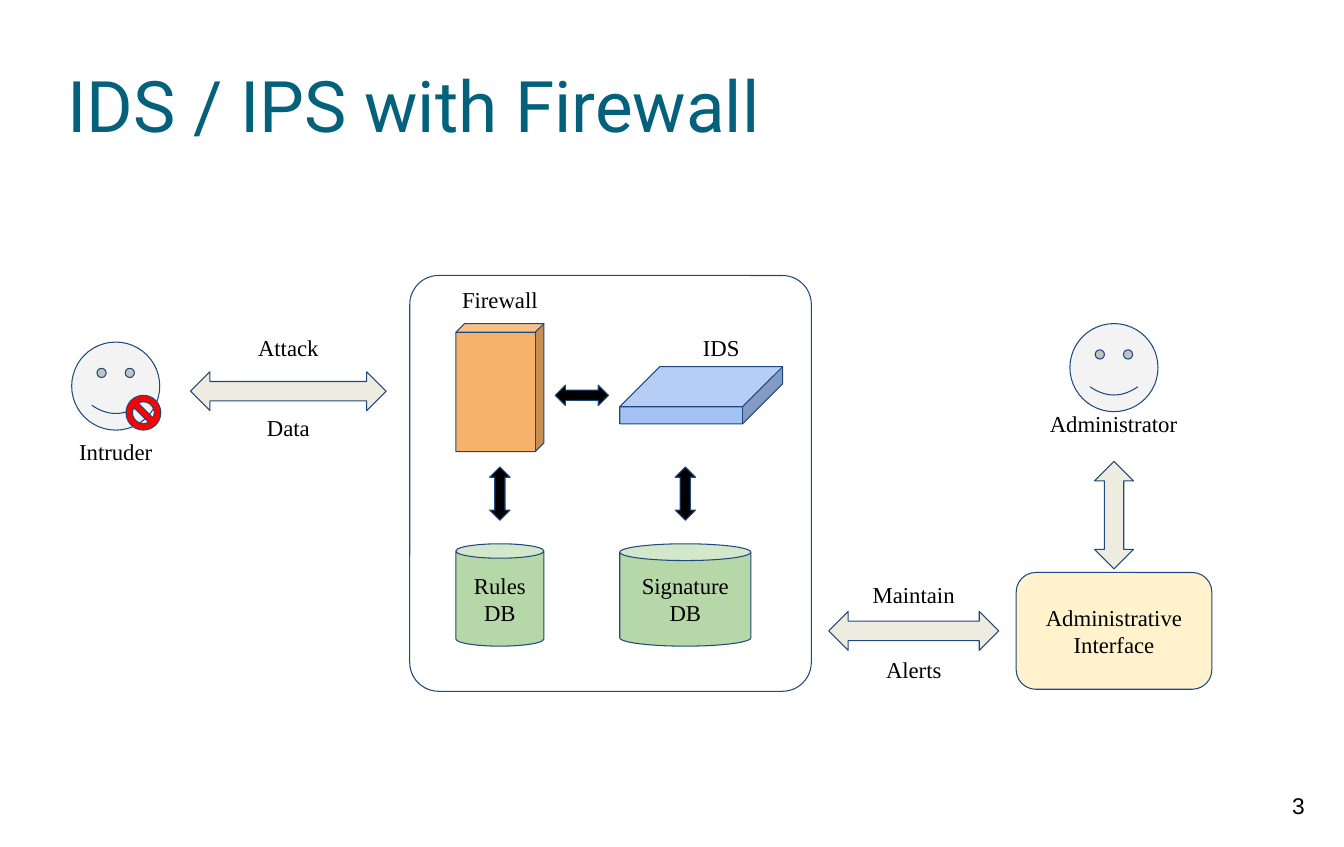
from dataclasses import dataclass

from pptx import Presentation
from pptx.dml.color import RGBColor
from pptx.enum import shapes, text
from pptx.util import Inches, Pt

MSO = shapes.MSO_SHAPE


@dataclass(frozen=True)
class Theme:
    title: str = "04617B"
    ink: str = "000000"
    line: str = "1F497D"
    face: str = "F3F3F3"
    stop: str = "FF0000"
    flow: str = "EEECE1"
    firewall: str = "F6B26B"
    ids: str = "A4C2F4"
    database: str = "B6D7A8"
    interface: str = "FFF2CC"
    title_font: str = "Roboto"
    label_font: str = "Times New Roman"
    number_font: str = "Arial"
    title_size: int = 50
    label_size: int = 16
    line_width: float = 0.75


T = Theme()


# Text and shape helpers
def add_run(p, words, font, size, color):
    r = p.add_run()
    r.text = words
    r.font.name = font
    r.font.size = Pt(size)
    r.font.color.rgb = RGBColor.from_string(color)


def write(sp, lines, font=T.label_font, anchor=text.MSO_ANCHOR.MIDDLE):
    tf = sp.text_frame
    tf.word_wrap = True
    tf.vertical_anchor = anchor
    tf.margin_left = tf.margin_right = Inches(0.1)
    tf.margin_top = tf.margin_bottom = Inches(0.1)
    p = tf.paragraphs[0]
    p.alignment = text.PP_ALIGN.CENTER
    for i, words in enumerate(lines):
        if i:
            p.add_line_break()
        add_run(p, words, font, T.label_size, T.ink)


def add_label(s, words, x, y, w, h=0.47, font=T.label_font):
    sp = s.shapes.add_textbox(Inches(x), Inches(y), Inches(w), Inches(h))
    write(sp, [words], font, text.MSO_ANCHOR.TOP)


def add_part(parent, kind, x, y, w, h, fill=None, adj=None, lines=()):
    sp = parent.shapes.add_shape(kind, Inches(x), Inches(y), Inches(w), Inches(h))
    sp.shadow.inherit = False
    if fill:
        sp.fill.solid()
        sp.fill.fore_color.rgb = RGBColor.from_string(fill)
    else:
        sp.fill.background()
    sp.line.color.rgb = RGBColor.from_string(T.line)
    sp.line.width = Pt(T.line_width)
    if adj is not None:
        sp.adjustments[0] = adj
    if lines:
        write(sp, lines)
    return sp


def add_arrow(s, cx, cy, length, thick, fill, vertical=False):
    """Double arrow centred on (cx, cy)."""
    sp = add_part(s, MSO.LEFT_RIGHT_ARROW, cx - length / 2, cy - thick / 2,
                  length, thick, fill)
    if vertical:
        sp.rotation = 90


def add_flow(s, x, y, w, above, below, label_w, rise, drop):
    """Arrow with one label above it and one below."""
    cx = x + w / 2
    add_arrow(s, cx, y, w, 0.38, T.flow)
    for words, offset in ((above, -rise), (below, drop)):
        add_label(s, words, cx - label_w / 2, y + offset, label_w)


# Title and slide number
def add_heading(s, x, y, w, h):
    sp = s.shapes.title
    sp.left, sp.top, sp.width, sp.height = map(Inches, (x, y, w, h))
    tf = sp.text_frame
    tf.word_wrap = True
    tf.vertical_anchor = text.MSO_ANCHOR.MIDDLE
    tf.margin_left = tf.margin_right = tf.margin_top = tf.margin_bottom = 0
    p = tf.paragraphs[0]
    p.alignment = text.PP_ALIGN.LEFT
    add_run(p, "IDS / IPS with Firewall", T.title_font, T.title_size, T.title)


# Intruder: barred face and the attack arrow
def add_intruder(s, x, y, face):
    group = s.shapes.add_group_shape()
    add_part(group, MSO.SMILEY_FACE, x, y, face, face, T.face)
    add_part(group, MSO.NO_SYMBOL, x + 0.53, y + 0.52, 0.34, 0.34, T.stop, 0.188)
    add_label(s, "Intruder", x + face / 2 - 0.48, y + 0.83, 0.96)
    add_flow(s, x + 1.16, y + 0.48, 1.91, "Attack", "Data", 0.84, 0.66, 0.12)


# Protected zone: firewall and IDS, each above its database
def add_zone(s, x, y, w, h):
    add_part(s, MSO.ROUNDED_RECTANGLE, x, y, w, h, adj=0.072)
    left, right = x + 0.45, x + 2.05
    add_part(s, MSO.CUBE, left, y + 0.47, 0.86, 1.25, T.firewall, 0.098)
    add_label(s, "Firewall", left - 0.05, y, 0.96)
    add_part(s, MSO.CUBE, right, y + 0.89, 1.59, 0.56, T.ids, 0.7)
    add_label(s, "IDS", right + 0.51, y + 0.47, 0.96)
    add_arrow(s, x + 1.68, y + 1.17, 0.52, 0.2, T.ink)
    for name, can_x, can_w in (("Rules", left, 0.86), ("Signature", right, 1.28)):
        add_part(s, MSO.CAN, can_x, y + 2.62, can_w, 1, T.database, 0.164,
                 [name, "DB"])
        add_arrow(s, can_x + can_w / 2, y + 2.13, 0.52, 0.2, T.ink, vertical=True)


# Administration: face, arrow down to the interface, maintenance arrow
def add_administration(s, x, y, w, face):
    cx = x + w / 2
    add_part(s, MSO.SMILEY_FACE, cx - face / 2, y, face, face, T.face)
    add_label(s, "Administrator", cx - 0.73, y + 0.74, 1.45)
    add_arrow(s, cx, y + 1.87, 1.05, 0.38, T.flow, vertical=True)
    add_part(s, MSO.ROUNDED_RECTANGLE, x, y + 2.43, w, 1.14, T.interface, 0.167,
             ["Administrative", "Interface"])
    add_flow(s, x - 1.83, y + 3, 1.66, "Maintain", "Alerts", 1.08, 0.59, 0.14)


def main():
    prs = Presentation()
    prs.slide_width, prs.slide_height = Inches(13.12), Inches(8.27)
    s = prs.slides.add_slide(prs.slide_layouts.get_by_name("Title Only"))
    add_heading(s, 0.66, 0.33, 11.81, 1.38)
    add_intruder(s, 0.7, 3.34, 0.86)
    add_zone(s, 4, 2.69, 3.92, 4.06)
    add_administration(s, 9.92, 3.16, 1.91, 0.86)
    add_label(s, "3", 12.28, 7.63, 0.79, 0.63, T.number_font)
    prs.save("out.pptx")


if __name__ == "__main__":
    main()
